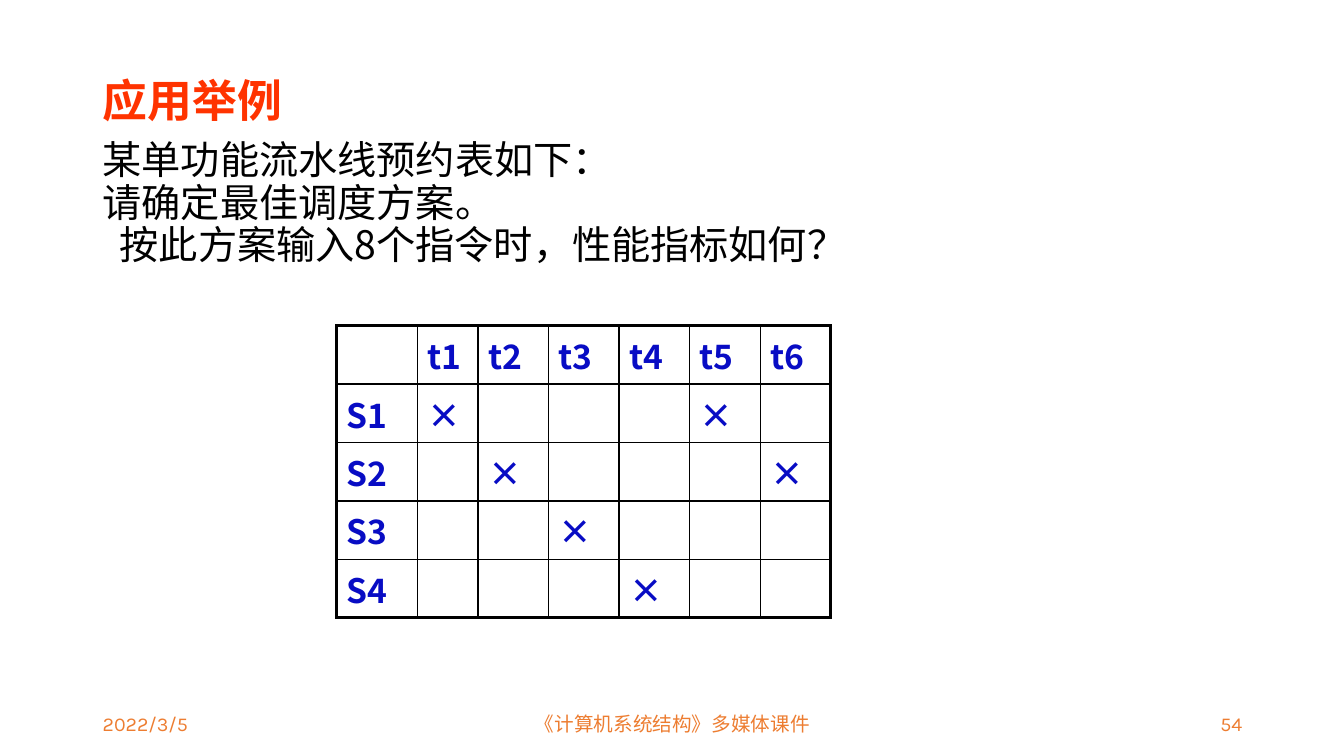
from pptx import Presentation, util as u
from pptx.dml.color import RGBColor
from pptx.enum import text
from pptx.oxml import ns
from lxml import etree

TITLE = "应用举例"
# wording, font, first-line indent in inches
BODY = [
    ("某单功能流水线预约表如下：", "Times New Roman", -0.25),
    ("请确定最佳调度方案。", "Noto Sans CJK SC", -0.25),
    ("按此方案输入8个指令时，性能指标如何？", "Noto Sans CJK SC", -0.08),
]
TIMES = ["t1", "t2", "t3", "t4", "t5", "t6"]
STAGES = {"S1": ["t1", "t5"], "S2": ["t2", "t6"], "S3": ["t3"], "S4": ["t4"]}
FOOT = [
    ("2022/3/5", 0.92, 3, text.PP_ALIGN.LEFT),
    ("《计算机系统结构》多媒体课件", 4.42, 4.5, text.PP_ALIGN.CENTER),
    ("54", 9.42, 3, text.PP_ALIGN.RIGHT),
]
WIDTHS = [0.8, 0.6] + [0.7] * 5
ROW = 0.58
THEME = {
    "title": (32, "FF3300"), "body": (28, "000000"),
    "cell": (24, "080CC4"), "foot": (14, "ED7D31"),
    "serif": "Times New Roman", "sans": "Noto Sans CJK SC", "small": "Karla",
    "rule": "000000", "thin": 1, "thick": 2.25, "spacing": 0.9,
}


def style(para, role, face, bold=False, east=True):
    """Set the paragraph's font; east also names the font of Chinese text."""
    size, color = THEME[role]
    font = para.font
    font.size, font.name, font.bold = u.Pt(size), face, bold
    font.color.rgb = RGBColor.from_string(color)
    if east:
        for run in para.runs:
            run.font.name = face
            run._r.rPr.find(ns.qn("a:latin")).addnext(
                etree.Element(ns.qn("a:ea"), typeface=THEME["sans"]))


def frame(slide, left, top, width, height, anchor):
    box = slide.shapes.add_textbox(*map(u.Inches, (left, top, width, height)))
    tf = box.text_frame
    tf.word_wrap, tf.vertical_anchor = True, anchor
    return tf


def border(cell, widths):
    """Rule the cell's sides; widths are points for left, right, top, bottom."""
    props = cell._tc.get_or_add_tcPr()
    for i, (side, width) in enumerate(zip("LRTB", widths)):
        line = etree.Element(ns.qn("a:ln" + side), w=str(u.Pt(width)))
        fill = etree.SubElement(line, ns.qn("a:solidFill"))
        etree.SubElement(fill, ns.qn("a:srgbClr"), val=THEME["rule"])
        props.insert(i, line)


def grid(slide):
    rows = [[""] + TIMES]
    for stage, busy in STAGES.items():
        rows.append([stage] + ["×" if t in busy else "" for t in TIMES])
    high, wide = len(rows), len(WIDTHS)
    table = slide.shapes.add_table(
        high, wide, u.Inches(3.34), u.Inches(3.23),
        u.Inches(sum(WIDTHS)), u.Inches(ROW * high)).table
    table.first_row = table.horz_banding = False
    for col, width in zip(table.columns, WIDTHS):
        col.width = u.Inches(width)
    for r, row in enumerate(rows):
        table.rows[r].height = u.Inches(ROW)
        for c, word in enumerate(row):
            cell = table.cell(r, c)
            cell.fill.background()
            edges = (c == 0, c == wide - 1, r == 0, r == high - 1)
            border(cell, [THEME["thick" if e else "thin"] for e in edges])
            if word:
                cell.text = word
                style(cell.text_frame.paragraphs[0], "cell", THEME["sans"], True)


def main():
    deck = Presentation()
    deck.slide_width, deck.slide_height = u.Inches(13.33), u.Inches(7.5)
    slide = deck.slides.add_slide(deck.slide_layouts[6])

    for word, left, width, align in FOOT:
        tf = frame(slide, left, 6.95, width, 0.4, text.MSO_ANCHOR.BOTTOM)
        para = tf.paragraphs[0]
        para.text, para.alignment = word, align
        style(para, "foot", THEME["small"], east=False)

    tf = frame(slide, 0.92, 0.4, 11.5, 1.45, text.MSO_ANCHOR.BOTTOM)
    tf.margin_bottom = u.Inches(0.59)
    para = tf.paragraphs[0]
    para.text, para.line_spacing = TITLE, THEME["spacing"]
    style(para, "title", THEME["serif"], True)

    tf = frame(slide, 0.92, 1.35, 11.5, 4.76, text.MSO_ANCHOR.TOP)
    for i, (word, face, indent) in enumerate(BODY):
        para = tf.add_paragraph() if i else tf.paragraphs[0]
        para.text, para.line_spacing = word, THEME["spacing"]
        props = para._p.get_or_add_pPr()
        props.set("marL", str(u.Inches(0.25)))
        props.set("indent", str(u.Inches(indent)))
        style(para, "body", face)

    grid(slide)
    deck.save("out.pptx")


if __name__ == "__main__":
    main()
